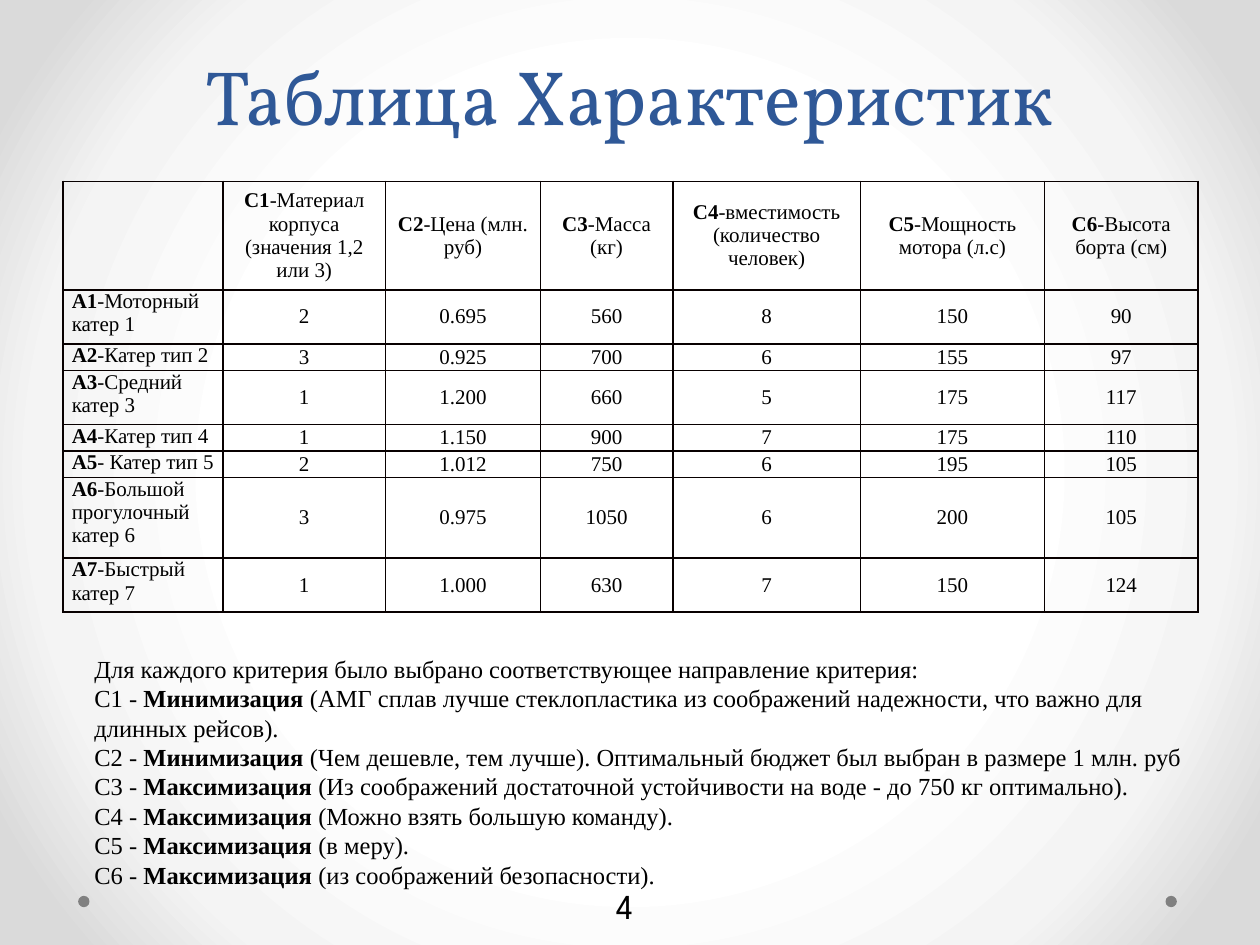
from dataclasses import dataclass

from pptx import Presentation
from pptx import util as u
from pptx.dml.color import RGBColor
from pptx.enum import shapes, text
from pptx.oxml import parse_xml
from pptx.oxml.ns import nsdecls

LEFT, CENTER = text.PP_ALIGN.LEFT, text.PP_ALIGN.CENTER
TOP, MIDDLE, BOTTOM = (text.MSO_ANCHOR.TOP, text.MSO_ANCHOR.MIDDLE,
                       text.MSO_ANCHOR.BOTTOM)


@dataclass(frozen=True)
class Theme:
    ink: str = "000000"
    title: str = "2F5897"
    border: str = "080000"
    dot: str = "808080"
    glow: tuple = ((50, "FFFFFF"), (76, "F4F4F4"), (92, "DADADA"))
    body_font: str = "Times New Roman"
    title_font: str = "Vollkorn"
    number_font: str = "League Spartan"
    title_size: int = 44
    number_size: int = 20
    body_size: int = 14
    cell_size: int = 12
    border_width: float = 1


class Deck:
    def __init__(self, theme, slide):
        self.theme = theme
        self.slide = slide

    def background(self):
        stops = "".join(
            f'<a:gs pos="{pos * 1000}"><a:srgbClr val="{color}"/></a:gs>'
            for pos, color in self.theme.glow)
        bg = parse_xml(
            f'<p:bg {nsdecls("p", "a")}><p:bgPr><a:gradFill rotWithShape="1">'
            f'<a:gsLst>{stops}</a:gsLst><a:path path="circle">'
            '<a:fillToRect l="50000" t="50000" r="50000" b="50000"/></a:path>'
            '</a:gradFill><a:effectLst/></p:bgPr></p:bg>')
        self.slide.element.cSld.insert(0, bg)

    def dot(self, x, y, size):
        sp = self.slide.shapes.add_shape(
            shapes.MSO_SHAPE.OVAL, *map(u.Inches, (x, y, size, size)))
        sp.shadow.inherit = False
        sp.fill.solid()
        sp.fill.fore_color.rgb = RGBColor.from_string(self.theme.dot)
        sp.line.fill.background()

    def runs(self, p, parts, size, font=None, color=None):
        """Add the parts to p; those at odd positions are bold."""
        for i, part in enumerate(parts):
            if not part:
                continue
            r = p.add_run()
            r.text = part
            r.font.size = u.Pt(size)
            r.font.name = font or self.theme.body_font
            r.font.bold = i % 2 == 1
            r.font.color.rgb = RGBColor.from_string(color or self.theme.ink)

    def text_box(self, box, lines, size, font=None, color=None, align=LEFT,
                 anchor=TOP, spacing=None):
        sp = self.slide.shapes.add_textbox(*map(u.Inches, box))
        tf = sp.text_frame
        tf.word_wrap = True
        tf.vertical_anchor = anchor
        for i, parts in enumerate(lines):
            p = tf.add_paragraph() if i else tf.paragraphs[0]
            p.alignment = align
            if spacing:
                p.line_spacing = u.Pt(spacing)
            self.runs(p, parts, size, font, color)

    def borders(self, cell):
        tc_pr = cell._tc.get_or_add_tcPr()
        width = u.Pt(self.theme.border_width)
        for i, side in enumerate(("lnL", "lnR", "lnT", "lnB")):
            tc_pr.insert(i, parse_xml(
                f'<a:{side} {nsdecls("a")} w="{width}"><a:solidFill>'
                f'<a:srgbClr val="{self.theme.border}"/></a:solidFill>'
                f'</a:{side}>'))

    def cell(self, cell, parts, align, anchor):
        cell.margin_left = cell.margin_right = u.Inches(0.07)
        cell.margin_top = cell.margin_bottom = 0
        cell.vertical_anchor = anchor
        cell.fill.background()
        self.borders(cell)
        p = cell.text_frame.paragraphs[0]
        p.alignment = align
        self.runs(p, parts, self.theme.cell_size)

    def table(self, x, y, widths, heights, rows):
        frame = self.slide.shapes.add_table(
            len(heights), len(widths),
            *map(u.Inches, (x, y, sum(widths), sum(heights))))
        table = frame.table
        table.first_row = table.horz_banding = False
        for column, width in zip(table.columns, widths):
            column.width = u.Inches(width)
        for i, (row, height) in enumerate(zip(rows, heights)):
            table.rows[i].height = u.Inches(height)
            for j, parts in enumerate(row):
                is_name = j == 0
                self.cell(table.cell(i, j), parts, LEFT if is_name else CENTER,
                          TOP if is_name else MIDDLE)


CRITERIA = ("Материал корпуса (значения 1,2 или 3)", "Цена (млн. руб)",
            "Масса (кг)", "вместимость (количество человек)",
            "Мощность мотора (л.с)", "Высота борта (см)")
BOATS = (
    ("А1", "-Моторный катер 1", "2 0.695 560 8 150 90"),
    ("A2", "-Катер тип 2", "3 0.925 700 6 155 97"),
    ("A3", "-Средний катер 3", "1 1.200 660 5 175 117"),
    ("A4", "-Катер тип 4", "1 1.150 900 7 175 110"),
    ("A5", "- Катер тип 5", "2 1.012 750 6 195 105"),
    ("A6", "-Большой прогулочный катер 6", "3 0.975 1050 6 200 105"),
    ("A7", "-Быстрый катер 7", "1 1.000 630 7 150 124"),
)
DIRECTIONS = (
    ("Минимизация", "(АМГ сплав лучше стеклопластика из соображений "
     "надежности, что важно для длинных рейсов)."),
    ("Минимизация", "(Чем дешевле, тем лучше). Оптимальный бюджет был выбран "
     "в размере 1 млн. руб"),
    ("Максимизация", "(Из соображений достаточной устойчивости на воде - "
     "до 750 кг оптимально)."),
    ("Максимизация", "(Можно взять большую команду)."),
    ("Максимизация", "(в меру)."),
    ("Максимизация", "(из соображений безопасности)."),
)


def main():
    prs = Presentation()
    prs.slide_width, prs.slide_height = u.Inches(10), u.Inches(7.5)
    theme = Theme()
    deck = Deck(theme, prs.slides.add_slide(prs.slide_layouts[6]))

    deck.background()
    for x in (0.62, 9.25):
        deck.dot(x, 7.11, 0.09)
    deck.text_box((4.13, 6.98, 1.65, 0.42), [["4"]], theme.number_size,
                  theme.number_font, align=CENTER, anchor=MIDDLE)
    deck.text_box((0.5, 0, 9, 1.17), [["Таблица Характеристик"]],
                  theme.title_size, theme.title_font, theme.title,
                  CENTER, BOTTOM, spacing=58)

    header = [[]] + [["", f"С{n}", f"-{name}"]
                     for n, name in enumerate(CRITERIA, 1)]
    body = [[["", code, name]] + [[value] for value in values.split()]
            for code, name, values in BOATS]
    deck.table(0.5, 1.44, (1.27, 1.29, 1.23, 1.05, 1.49, 1.46, 1.22),
               (0.86, 0.43, 0.21, 0.43, 0.21, 0.21, 0.64, 0.43),
               [header] + body)

    intro = ["Для каждого критерия было выбрано соответствующее "
             "направление критерия:"]
    deck.text_box((0.65, 5.14, 8.85, 1.97),
                  [intro] + [[f"С{n} - ", goal, f" {reason}"]
                             for n, (goal, reason) in enumerate(DIRECTIONS, 1)],
                  theme.body_size)
    prs.save("out.pptx")


if __name__ == "__main__":
    main()
